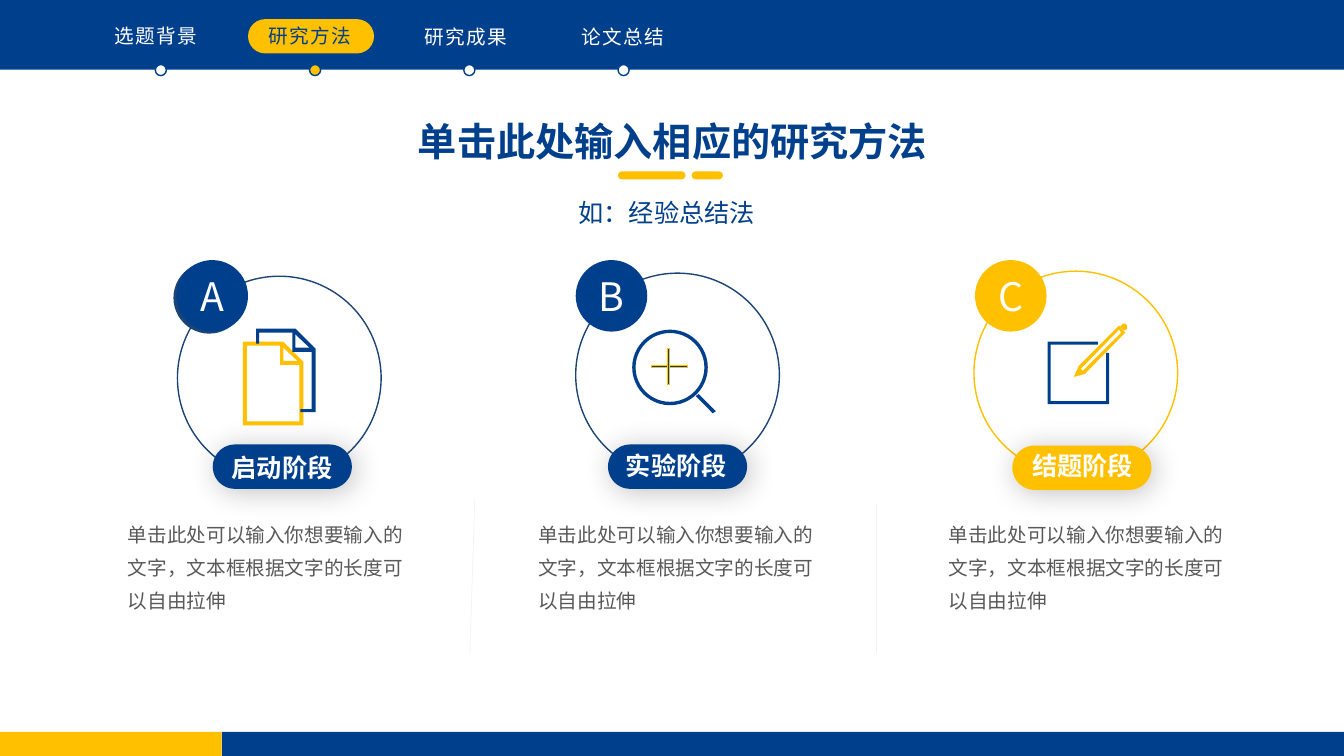
from pptx import Presentation
from pptx.dml.color import RGBColor
from pptx.enum.shapes import MSO_CONNECTOR, MSO_SHAPE
from pptx.enum.text import MSO_ANCHOR, MSO_AUTO_SIZE, PP_ALIGN
from pptx.oxml import parse_xml
from pptx.oxml.ns import nsdecls, qn
from pptx.util import Inches, Pt

RECT, PILL = MSO_SHAPE.RECTANGLE, MSO_SHAPE.ROUNDED_RECTANGLE
OVAL, RING = MSO_SHAPE.OVAL, MSO_SHAPE.DONUT
LEFT, CENTER = PP_ALIGN.LEFT, PP_ALIGN.CENTER
TOP, MIDDLE = MSO_ANCHOR.TOP, MSO_ANCHOR.MIDDLE
SANS = "Noto Sans CJK SC"
COLORS = {
    "blue": "003F8B", "navy": "1C4476", "gold": "FFC000",
    "white": "FFFFFF", "gray": "595959", "divider": "F2F2F2",
}
RGB = {name: RGBColor.from_string(value) for name, value in COLORS.items()}

prs = Presentation()
prs.slide_width, prs.slide_height = Inches(13.33), Inches(7.5)
slide = prs.slides.add_slide(prs.slide_layouts[5])
shapes = slide.shapes


def add_part(kind, box, fill=None, line=None, weight=1):
    """Add a preset shape; pills get fully round ends."""
    part = shapes.add_shape(kind, *map(Inches, box))
    part.shadow.inherit = False
    if kind == PILL:
        part.adjustments[0] = 0.5
    if fill:
        part.fill.solid()
        part.fill.fore_color.rgb = RGB[fill]
    else:
        part.fill.background()
    if line:
        part.line.color.rgb = RGB[line]
        part.line.width = Pt(weight)
    else:
        part.line.fill.background()
    return part


def write(holder, text, size, color, align=LEFT, anchor=TOP, bold=False,
          spacing=1.0, font=SANS, tracking=0):
    """Fill a shape, text box or placeholder with one paragraph."""
    frame = holder.text_frame
    frame.word_wrap = True
    frame.auto_size = MSO_AUTO_SIZE.NONE
    frame.vertical_anchor = anchor
    frame.text = text
    paragraph = frame.paragraphs[0]
    paragraph.alignment = align
    paragraph.line_spacing = spacing
    paragraph.font.size = Pt(size)
    paragraph.font.bold = bold
    paragraph.font.color.rgb = RGB[color]
    paragraph.font.name = font
    defaults = paragraph._p.get_or_add_pPr().find(qn("a:defRPr"))
    defaults.find(qn("a:latin")).addnext(
        parse_xml(f'<a:ea {nsdecls("a")} typeface="{SANS}"/>'))
    if tracking:
        defaults.set("spc", str(tracking * 100))


# Header and footer bars
add_part(RECT, (2.2, 7.26, 11.13, 0.25), "blue")
add_part(RECT, (0, 7.26, 2.2, 0.25), "gold")
add_part(RECT, (0, 0, 13.33, 0.69), "blue")

# Navigation
add_part(PILL, (2.46, 0.19, 1.25, 0.34), "gold")
sections = [("选题背景", 0.88, 0.19, 1.34), ("研究方法", 2.34, 0.19, 1.47),
            ("研究成果", 3.95, 0.2, 1.34), ("论文总结", 5.43, 0.2, 1.49)]
for i, (section, left, top, width) in enumerate(sections):
    current = section == "研究方法"
    add_part(OVAL, (1.54 + 1.53 * i, 0.64, 0.11, 0.11),
             "gold" if current else "white", "blue")
    nav_label = shapes.add_textbox(*map(Inches, (left, top, width, 0.34)))
    write(nav_label, section, 14, "blue" if current else "white", CENTER, tracking=1)

# Title, underline and subtitle
title = shapes.title
title.left, title.top, title.width, title.height = map(Inches, (3.83, 1.07, 5.68, 0.57))
write(title, "单击此处输入相应的研究方法", 28, "blue", CENTER, bold=True, spacing=1.2)
frame = title.text_frame
frame.margin_left = frame.margin_right = frame.margin_top = frame.margin_bottom = 0
for left, width in [(6.86, 0.31), (6.13, 0.67)]:
    add_part(PILL, (left, 1.7, width, 0.08), "gold")
subtitle = shapes.add_textbox(*map(Inches, (5.64, 1.82, 2.06, 0.46)))
write(subtitle, "如：经验总结法", 18, "blue", spacing=1.3)

# Three stages: ring, letter badge, name pill, description
stages = [
    # letter, name, color, ring color, ring at, badge left, pill at, name left
    ("A", "启动阶段", "blue", "navy", (1.76, 2.74), 1.75, (2.11, 4.41), 2.2),
    ("B", "实验阶段", "blue", "navy", (5.71, 2.71), 5.71, (6.03, 4.41), 6.11),
    ("C", "结题阶段", "gold", "gold", (9.66, 2.69), 9.67, (10.04, 4.42), 10.14),
]
for i, (letter, name, color, ring, ring_at, badge_left, pill_at, name_left) in enumerate(stages):
    add_part(OVAL, (*ring_at, 2.02, 2.02), line=ring)
    if letter == "A":
        add_part(OVAL, (1.72, 2.6, 0.71, 0.71), "navy")
    badge = add_part(OVAL, (badge_left, 2.58, 0.71, 0.71), color)
    write(badge, letter, 28, "white", CENTER, MIDDLE)

    pill = add_part(PILL, (*pill_at, 1.38, 0.44), color)
    pill._element.spPr.find(qn("a:effectLst")).append(parse_xml(
        f'<a:outerShdw {nsdecls("a")} blurRad="{Pt(21)}" dist="{Pt(3)}" dir="2700000" '
        'algn="tl" rotWithShape="0"><a:srgbClr val="000000"><a:alpha val="24000"/>'
        '</a:srgbClr></a:outerShdw>'))
    stage_name = shapes.add_textbox(
        *map(Inches, (name_left, 4.36, 1.29, 0.56 if letter == "A" else 0.52)))
    write(stage_name, name, 18, "white", anchor=MIDDLE, bold=True)

    description = shapes.add_textbox(*map(Inches, (1.17 + 4.07 * i, 5.05, 2.94, 1.06)))
    write(description, "单击此处可以输入你想要输入的文字，文本框根据文字的长度可以自由拉伸",
          14, "gray", spacing=1.4, font="Arial")

# Dividers between the stages
for ends in [(4.71, 4.94, 4.66, 6.48), (8.69, 5, 8.69, 6.48)]:
    divider = shapes.add_connector(MSO_CONNECTOR.STRAIGHT, *map(Inches, ends))
    divider.line.color.rgb = RGB["divider"]
    divider.line.width = Pt(0.5)
    divider._element.spPr.append(parse_xml(f'<a:effectLst {nsdecls("a")}/>'))

# Magnifier icon
lens = add_part(RING, (6.27, 3.27, 0.75, 0.75), "blue")
lens.adjustments[0] = 0.045
for bar in [(6.46, 3.63, 0.36, 0.02), (6.62, 3.46, 0.02, 0.36)]:
    add_part(RECT, bar, "blue", "gold", 0.75)

# Outlines of the document, magnifier handle and pencil icons
fold = [(0, 0), (0.03, 0), (0.03, 0.17), (0.2, 0.17), (0.2, 0.21), (0, 0.21)]
front_fold = [(2.78 + x, 3.41 + y) for x, y in fold]
back_fold = [(2.9 + x, 3.28 + y) for x, y in fold]
front_page = [(3.01, 4.22), (2.41, 4.22), (2.41, 3.39), (2.81, 3.39), (3.01, 3.59)]
front_hole = [(2.45, 4.18), (2.97, 4.18), (2.97, 3.6), (2.79, 3.43), (2.45, 3.43)]
back_page = [(3.13, 4.09), (2.98, 4.09), (2.98, 4.06), (3.09, 4.06), (3.09, 3.47),
             (2.91, 3.3), (2.57, 3.3), (2.57, 3.41), (2.54, 3.41), (2.54, 3.26),
             (2.93, 3.26), (3.13, 3.46)]
handle = [(7.07, 4.1), (6.9, 3.93), (6.93, 3.91), (7.1, 4.08)]
pencil_cap = [(11.11, 3.24), (11.15, 3.28), (11.18, 3.26), (11.18, 3.23),
              (11.16, 3.21), (11.14, 3.21)]
pencil = [(10.65, 3.74), (10.7, 3.63), (11.1, 3.23), (11.16, 3.3), (10.76, 3.71)]
pencil_hole = [(10.72, 3.66), (10.7, 3.7), (10.74, 3.68), (11.12, 3.3), (11.1, 3.27)]
pencil_tip = [(10.75, 3.69), (10.68, 3.72), (10.71, 3.65)]
paper = [(11, 4.01), (10.39, 4.01), (10.39, 3.39), (10.89, 3.39), (10.89, 3.42),
         (10.42, 3.42), (10.42, 3.98), (10.97, 3.98), (10.97, 3.5), (11, 3.5)]
icon_parts = [
    ("gold", [front_fold]), ("gold", [front_page, front_hole]),
    ("blue", [back_fold]), ("blue", [back_page]), ("blue", [handle]),
    ("gold", [pencil_cap]), ("gold", [pencil, pencil_hole]),
    ("gold", [pencil_tip]), ("blue", [paper]),
]
for color, contours in icon_parts:
    outlines = [[(Inches(x), Inches(y)) for x, y in contour] for contour in contours]
    builder = shapes.build_freeform(*outlines[0][0])
    builder.add_line_segments(outlines[0][1:])
    for hole in outlines[1:]:
        builder.move_to(*hole[0])
        builder.add_line_segments(hole[1:])
    icon = builder.convert_to_shape()
    icon.shadow.inherit = False
    icon.fill.solid()
    icon.fill.fore_color.rgb = RGB[color]
    icon.line.fill.background()

prs.save("out.pptx")
